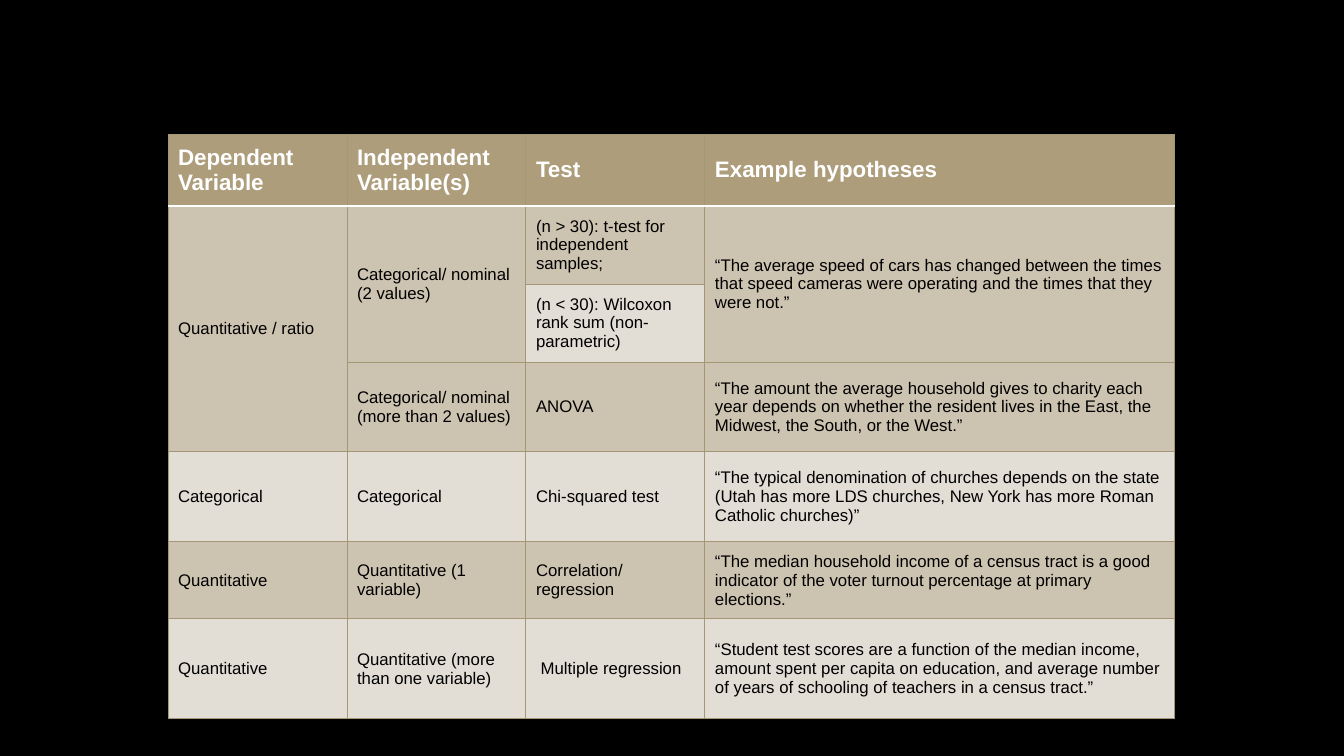
from dataclasses import dataclass

from lxml import etree
from pptx import Presentation
from pptx import util as u
from pptx.dml.color import RGBColor
from pptx.enum import text
from pptx.oxml import ns

EMU_PER_PX = 914400 / 100.8


@dataclass(frozen=True)
class Theme:
    """Colours, font and sizes of the slide."""
    background: str = "000000"
    header: str = "AD9D7B"
    dark_band: str = "CDC3B1"
    light_band: str = "E2DDD5"
    grid: str = "A59675"
    header_text: str = "FFFFFF"
    body_text: str = "000000"
    font: str = "Arial"
    header_size: int = 16
    body_size: int = 12
    grid_width: float = 0.75
    header_rule: float = 1.25


THEME = Theme()
COLUMN_WIDTHS = [179, 179, 179]
ROW_HEIGHTS = [72, 78, 78, 90, 90, 77]
ROWS = [
    ["Dependent Variable", "Independent Variable(s)", "Test", "Example hypotheses"],
    ["Quantitative / ratio", "Categorical/ nominal (2 values)",
     "(n > 30): t-test for independent samples;",
     "“The average speed of cars has changed between the times that speed "
     "cameras were operating and the times that they were not.”"],
    ["", "", "(n < 30): Wilcoxon rank sum (non-parametric)", ""],
    ["", "Categorical/ nominal (more than 2 values)", "ANOVA",
     "“The amount the average household gives to charity each year depends on "
     "whether the resident lives in the East, the Midwest, the South, or the West.”"],
    ["Categorical", "Categorical", "Chi-squared test",
     "“The typical denomination of churches depends on the state (Utah has more "
     "LDS churches, New York has more Roman Catholic churches)”"],
    ["Quantitative", "Quantitative (1 variable)", "Correlation/ regression",
     "“The median household income of a census tract is a good indicator of the "
     "voter turnout percentage at primary elections.”"],
    ["Quantitative", "Quantitative (more than one variable)", " Multiple regression",
     "“Student test scores are a function of the median income, amount spent per "
     "capita on education, and average number of years of schooling of teachers "
     "in a census tract.”"],
]
MERGES = [((1, 0), (3, 0)), ((1, 1), (2, 1)), ((1, 3), (2, 3))]


def px(n):
    """Turn pixels into EMU."""
    return u.Emu(round(n * EMU_PER_PX))


def rgb(value):
    """Turn a hex string into a colour."""
    return RGBColor.from_string(value)


def set_borders(cell, row):
    """Draw the four cell borders, with a white rule under the header."""
    tc_pr = cell._tc.get_or_add_tcPr()
    for side in "LRTB":
        is_rule = (row, side) in ((0, "B"), (1, "T"))
        width = THEME.header_rule if is_rule else THEME.grid_width
        color = THEME.header_text if is_rule else THEME.grid
        ln = etree.SubElement(tc_pr, ns.qn(f"a:ln{side}"), w=str(u.Pt(width)))
        fill = etree.SubElement(ln, ns.qn("a:solidFill"))
        etree.SubElement(fill, ns.qn("a:srgbClr"), val=color)


def band_color(row, col):
    """Return the fill of a cell from its place in the table."""
    if row == 0:
        return THEME.header
    is_light = row in (4, 6) or (row, col) == (2, 2)
    return THEME.light_band if is_light else THEME.dark_band


def fill_cell(cell, row, col, words):
    """Style one cell and write its words."""
    set_borders(cell, row)
    cell.fill.solid()
    cell.fill.fore_color.rgb = rgb(band_color(row, col))
    cell.vertical_anchor = text.MSO_ANCHOR.MIDDLE
    if not words:
        return
    r = cell.text_frame.paragraphs[0].add_run()
    r.text = words
    r.font.name = THEME.font
    r.font.bold = row == 0
    r.font.size = u.Pt(THEME.body_size if row else THEME.header_size)
    r.font.color.rgb = rgb(THEME.body_text if row else THEME.header_text)


def add_test_table(s, x, y, w, h):
    """Place the table of statistical tests in the given box."""
    frame = s.shapes.add_table(len(ROWS), len(ROWS[0]), px(x), px(y), px(w), px(h))
    table = frame.table
    widths = COLUMN_WIDTHS + [w - sum(COLUMN_WIDTHS)]
    heights = ROW_HEIGHTS + [h - sum(ROW_HEIGHTS)]
    for column, width in zip(table.columns, widths):
        column.width = px(width)
    for table_row, height in zip(table.rows, heights):
        table_row.height = px(height)
    for row, entries in enumerate(ROWS):
        for col, words in enumerate(entries):
            fill_cell(table.cell(row, col), row, col, words)
    for first, last in MERGES:
        table.cell(*first).merge(table.cell(*last))


def main():
    """Build and save the slide."""
    prs = Presentation()
    prs.slide_width, prs.slide_height = px(1344), px(756)
    s = prs.slides.add_slide(prs.slide_layouts[6])
    s.background.fill.solid()
    s.background.fill.fore_color.rgb = rgb(THEME.background)
    add_test_table(s, 168, 134, 1007, 585)
    prs.save("out.pptx")


if __name__ == "__main__":
    main()
